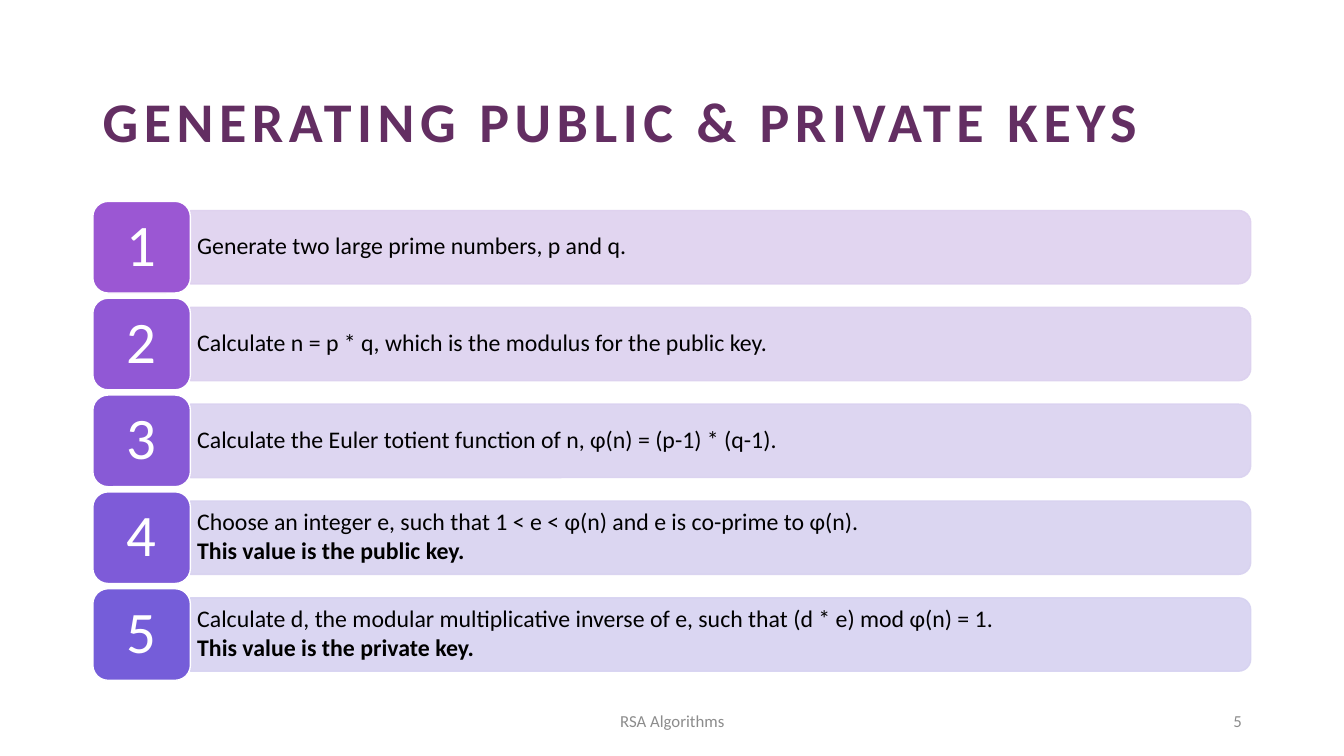
from dataclasses import dataclass

from lxml import etree
from pptx import Presentation
from pptx.dml.color import RGBColor
from pptx.enum.shapes import MSO_SHAPE
from pptx.enum.text import MSO_ANCHOR, PP_ALIGN
from pptx.oxml.ns import qn
from pptx.util import Cm, Pt

ROUNDED = MSO_SHAPE.ROUNDED_RECTANGLE
ROUNDED_END = MSO_SHAPE.ROUND_2_SAME_RECTANGLE
MIDDLE = MSO_ANCHOR.MIDDLE
LEFT, CENTER, RIGHT = PP_ALIGN.LEFT, PP_ALIGN.CENTER, PP_ALIGN.RIGHT


@dataclass(frozen=True)
class Theme:
    font: str = "Calibri"
    title_color: str = "632E62"
    text_color: str = "000000"
    footer_color: str = "8C8C8C"
    white: str = "FFFFFF"
    title_size: int = 40
    number_size: int = 42
    step_size: int = 17
    footer_size: int = 12


THEME = Theme()

# Each step: tile colour, bar colour, sentence, optional bold conclusion
STEPS = [
    ("9B57D3", "DED1EF", "Generate two large prime numbers, p and q.", None),
    ("9158D5", "DCD1EF",
     "Calculate n = p * q, which is the modulus for the public key.", None),
    ("885AD6", "DAD2F0",
     "Calculate the Euler totient function of n, φ(n) = (p-1) * (q-1).", None),
    ("7E5BD8", "D8D2F0",
     "Choose an integer e, such that 1 < e < φ(n) and e is co-prime to φ(n).",
     "This value is the public key."),
    ("755DD9", "D6D2F1",
     "Calculate d, the modular multiplicative inverse of e, such that (d * e) mod φ(n) = 1.",
     "This value is the private key."),
]

# Grid of steps, in centimetres
TILE_LEFT, TILE_WIDTH, TILE_HEIGHT = 2.34, 2.46, 2.31
BAR_LEFT, BAR_WIDTH, BAR_HEIGHT = 4.8, 26.72, 1.85
FIRST_CENTER, STEP_PITCH = 6.23, 2.44
BAR_OPACITY = 90


def write_run(paragraph, text, size, color, bold=False):
    run = paragraph.add_run()
    run.text = text
    run.font.name = THEME.font
    run.font.size = Pt(size)
    run.font.bold = bold
    run.font.color.rgb = RGBColor.from_string(color)
    return run


def prepare_frame(shape, side_inset, top_inset):
    frame = shape.text_frame
    frame.word_wrap = True
    frame.vertical_anchor = MIDDLE
    frame.margin_left = frame.margin_right = Cm(side_inset)
    frame.margin_top = frame.margin_bottom = Cm(top_inset)
    return frame


def add_label(slide, left, top, width, height, text, size, color,
              alignment=LEFT, bold=False):
    label = slide.shapes.add_textbox(Cm(left), Cm(top), Cm(width), Cm(height))
    paragraph = prepare_frame(label, 0.25, 0.13).paragraphs[0]
    paragraph.alignment = alignment
    paragraph.line_spacing = 0.9 if bold else 1.0
    return write_run(paragraph, text, size, color, bold)


def add_block(slide, kind, left, top, width, height, fill, line):
    shape = slide.shapes.add_shape(kind, Cm(left), Cm(top), Cm(width), Cm(height))
    shape.shadow.inherit = False
    shape.fill.solid()
    shape.fill.fore_color.rgb = RGBColor.from_string(fill)
    shape.line.color.rgb = RGBColor.from_string(line)
    shape.line.width = Pt(1)
    return shape


def set_opacity(shape, percent):
    for color in shape.element.spPr.iter(qn("a:srgbClr")):
        etree.SubElement(color, qn("a:alpha"), val=str(percent * 1000))


def add_bar(slide, center, color):
    # The shape stands upright, then turns so its rounded end faces right
    middle = BAR_LEFT + BAR_WIDTH / 2
    bar = add_block(slide, ROUNDED_END, middle - BAR_HEIGHT / 2,
                    center - BAR_WIDTH / 2, BAR_HEIGHT, BAR_WIDTH, color, color)
    bar.rotation = 90
    set_opacity(bar, BAR_OPACITY)


def add_step_text(slide, center, sentence, conclusion):
    height = 1.68
    box = slide.shapes.add_textbox(Cm(BAR_LEFT), Cm(center - height / 2),
                                   Cm(BAR_WIDTH), Cm(height))
    frame = prepare_frame(box, 0.17, 0.1)
    paragraph = frame.paragraphs[0]
    paragraph.line_spacing = 0.9
    write_run(paragraph, sentence, THEME.step_size, THEME.text_color)
    if conclusion:
        paragraph.space_after = Pt(2.5)
        paragraph = frame.add_paragraph()
        paragraph.line_spacing = 0.9
        write_run(paragraph, conclusion, THEME.step_size, THEME.text_color, bold=True)


def add_number_tile(slide, center, number, color):
    tile = add_block(slide, ROUNDED, TILE_LEFT, center - TILE_HEIGHT / 2,
                     TILE_WIDTH, TILE_HEIGHT, color, THEME.white)
    paragraph = prepare_frame(tile, 0.3, 0.1).paragraphs[0]
    paragraph.alignment = CENTER
    paragraph.line_spacing = 0.9
    write_run(paragraph, str(number), THEME.number_size, THEME.white)


def main():
    presentation = Presentation()
    presentation.slide_width, presentation.slide_height = Cm(33.87), Cm(19.05)
    slide = presentation.slides.add_slide(presentation.slide_layouts[6])

    # Title with wide letter spacing
    title = add_label(slide, 2.34, 1.55, 29.21, 3.15,
                      "GENERATING PUBLIC & PRIVATE KEYS",
                      THEME.title_size, THEME.title_color, bold=True)
    title.font._element.set("spc", "400")

    # Numbered steps
    for index, (tile_color, bar_color, sentence, conclusion) in enumerate(STEPS):
        center = FIRST_CENTER + index * STEP_PITCH
        add_bar(slide, center, bar_color)
        add_step_text(slide, center, sentence, conclusion)
        add_number_tile(slide, center, index + 1, tile_color)

    # Footer and slide number
    add_label(slide, 11.23, 17.65, 11.43, 1.02, "RSA Algorithms",
              THEME.footer_size, THEME.footer_color, CENTER)
    add_label(slide, 23.93, 17.65, 7.62, 1.02, "5",
              THEME.footer_size, THEME.footer_color, RIGHT)

    presentation.save("out.pptx")


if __name__ == "__main__":
    main()
